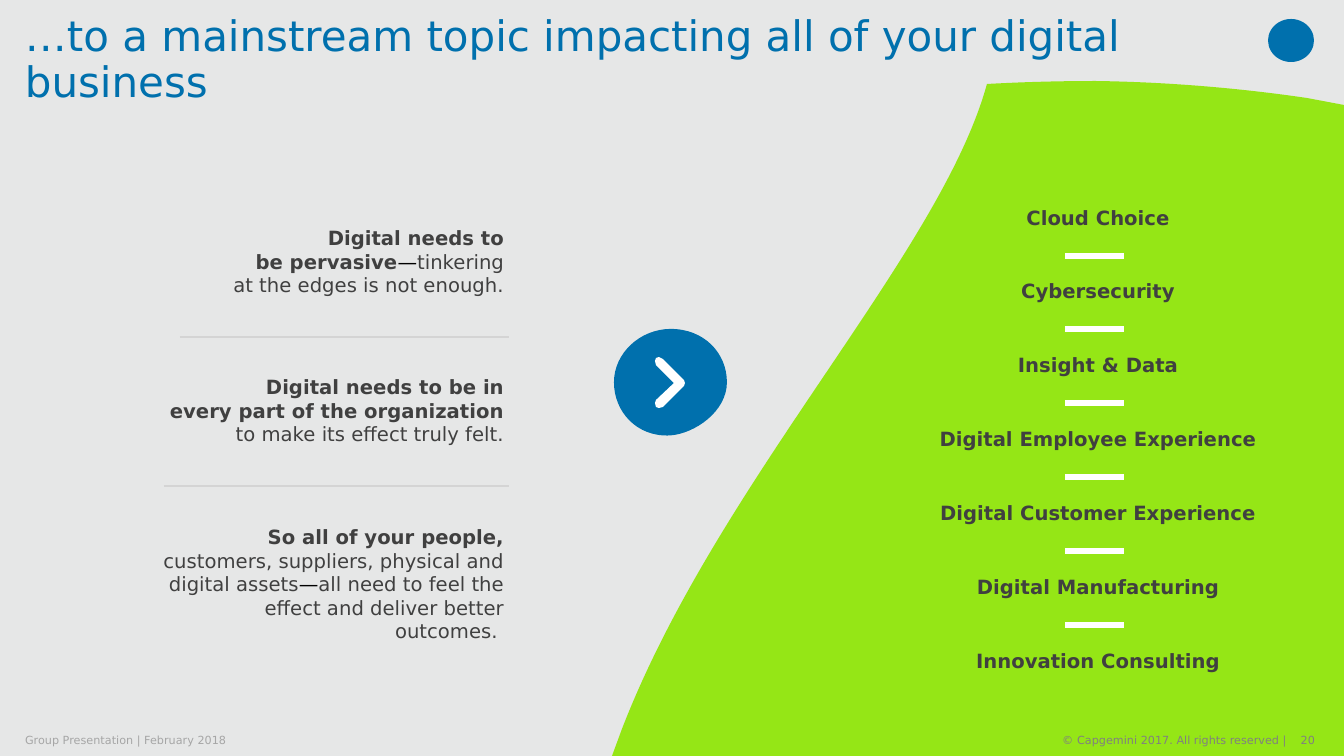
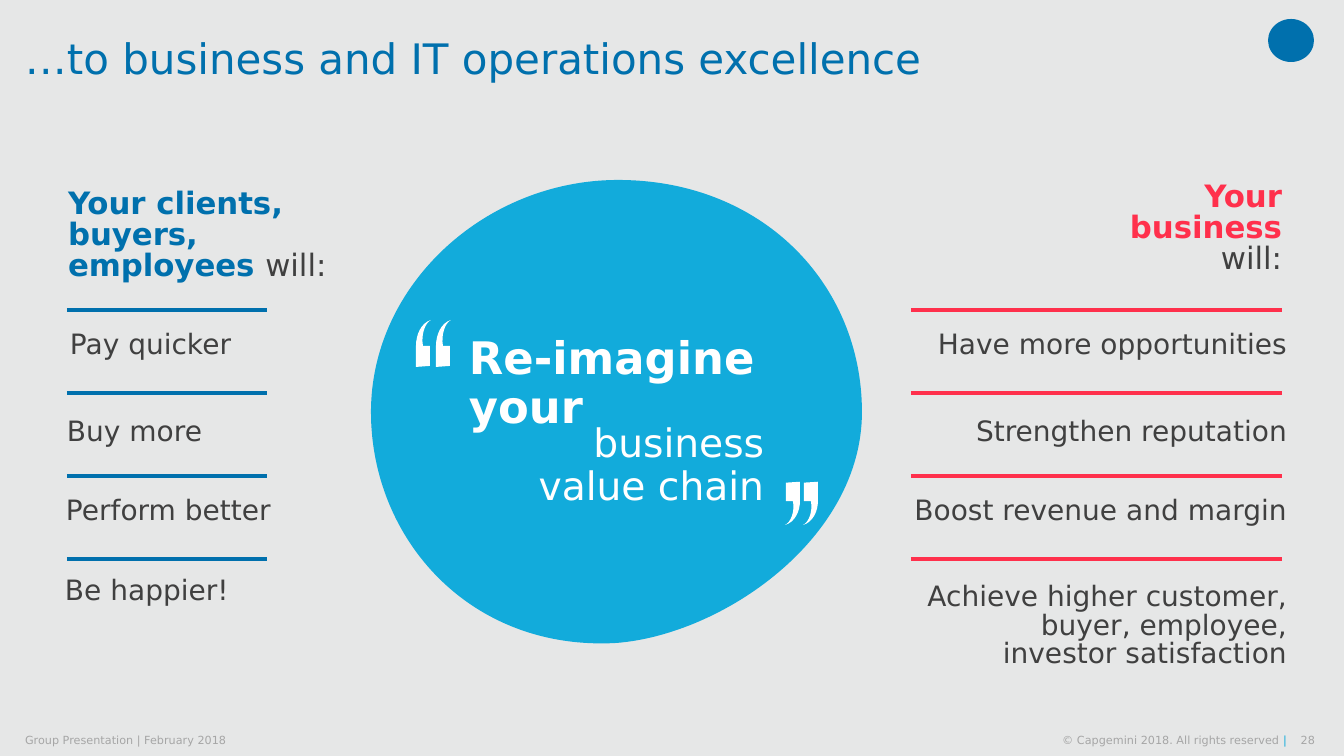
import pptx
import pptx.dml.color
import pptx.enum.shapes
import pptx.enum.text
import pptx.oxml.ns
import pptx.util
from lxml import etree

RGB = pptx.dml.color.RGBColor
ALIGN = pptx.enum.text.PP_ALIGN
ANCHOR = pptx.enum.text.MSO_ANCHOR
qn = pptx.oxml.ns.qn

PX = 914400 / 100.8
FONT = "DejaVu Sans"

BACKGROUND = RGB(0xE6, 0xE7, 0xE7)
BLUE = RGB(0x00, 0x70, 0xAD)
CYAN = RGB(0x12, 0xAB, 0xDB)
GREEN = RGB(0x95, 0xE6, 0x16)
RED = RGB(0xFF, 0x30, 0x4C)
WHITE = RGB(0xFF, 0xFF, 0xFF)
BLACK = RGB(0x00, 0x00, 0x00)
DARK = RGB(0x40, 0x40, 0x40)
RULE_GREY = RGB(0xD4, 0xD4, 0xD4)
FOOTER_GREY = RGB(0xA6, 0xA6, 0xA6)
FOOTER_DARK = RGB(0x80, 0x80, 0x80)

# Outlines: a start point, then segments of one point (line) or three (curve).
BLOB = (0, 232), [
    ((0, 104), (115, 1), (245, 0)),
    ((391, -1), (491, 104), (491, 232)),
    ((491, 359), (351, 455), (245, 463)),
    ((99, 471), (0, 359), (0, 232)),
]
QUOTE_MARK = (15, 0), [
    ((5, 3), (0, 15), (0, 26)),
    ((0, 47),), ((14, 46),), ((14, 26),), ((7, 26),),
    ((5, 15), (9, 3), (15, 0)),
]
GREEN_HILL = (1096, 81), [
    ((1167, 82), (1239, 88), (1307, 98)),
    ((1344, 105),), ((1344, 756),), ((612, 756),), ((622, 729),),
    ((718, 481), (940, 255), (987, 84)),
    ((1023, 82), (1059, 81), (1096, 81)),
]
CHEVRON = (4, 0), [(point,) for point in (
    (8, 2), (29, 23), (30, 26), (29, 29), (8, 50), (4, 51), (1, 50),
    (0, 46), (1, 43), (19, 26), (1, 8), (0, 4), (1, 1))]


def px(n):
    return pptx.util.Emu(round(n * PX))


def add_text(slide, box, runs, size, align=ALIGN.LEFT, spacing=1.0,
             insets=(10, 5, 10, 5), anchor=ANCHOR.TOP):
    """Add one paragraph; runs are (text, colour, bold), with \\n as line break."""
    tf = slide.shapes.add_textbox(*map(px, box)).text_frame
    tf.word_wrap = True
    tf.vertical_anchor = anchor
    tf.margin_left, tf.margin_top, tf.margin_right, tf.margin_bottom = map(px, insets)
    p = tf.paragraphs[0]
    p.alignment = align
    p.line_spacing = spacing
    for text, color, bold in runs:
        for i, line in enumerate(text.split("\n")):
            if i:
                p.add_line_break()
            if not line:
                continue
            r = p.add_run()
            r.text = line
            r.font.name = FONT
            r.font.size = pptx.util.Pt(size)
            r.font.bold = bold
            r.font.color.rgb = color


def add_rule(slide, x1, x2, y, color, width):
    line = slide.shapes.add_connector(
        pptx.enum.shapes.MSO_CONNECTOR.STRAIGHT, px(x1), px(y), px(x2), px(y))
    line.line.color.rgb = color
    line.line.width = pptx.util.Pt(width)
    etree.SubElement(line._element.spPr, qn("a:effectLst"))


def paint(sp, color):
    sp.shadow.inherit = False
    sp.fill.solid()
    sp.fill.fore_color.rgb = color
    sp.line.fill.background()


def add_outline(slide, outline, color, left=0, top=0, sx=1, sy=1):
    """Build the outline from straight lines, then merge triples into curves."""
    start, segments = outline
    points = [start] + [point for segment in segments for point in segment]
    points = [(px(left + x * sx), px(top + y * sy)) for x, y in points]
    builder = slide.shapes.build_freeform(*points[0], scale=1.0)
    builder.add_line_segments(points[1:], close=False)
    sp = builder.convert_to_shape()
    lines = iter(list(sp._element.iter(qn("a:lnTo"))))
    for segment in segments:
        first, *others = [next(lines) for _ in segment]
        if others:
            first.tag = qn("a:cubicBezTo")
            for line in others:
                first.append(line[0])
                line.getparent().remove(line)
    outline_end = next(sp._element.iter(qn("a:moveTo"))).getparent()
    etree.SubElement(outline_end, qn("a:close"))
    paint(sp, color)


def add_footer_text(slide, left, width, runs, align=ALIGN.RIGHT):
    add_text(slide, (left, 734, width, 13), runs, 8, align,
             insets=(0, 0, 0, 0), anchor=ANCHOR.MIDDLE)


def add_frame(slide, title, year, number, footer_color, bar_color):
    """Add the shared title, emblem and footer."""
    add_text(slide, (25, 0, 1227, 122), [(title, BLUE, False)], 30, spacing=0.9,
             insets=(0, 0, 0, 0), anchor=ANCHOR.MIDDLE)
    emblem = slide.shapes.add_shape(pptx.enum.shapes.MSO_SHAPE.OVAL,
                                    *map(px, (1268, 19, 46, 43)))
    paint(emblem, BLUE)
    add_footer_text(slide, 25, 520,
                    [("Group Presentation | February 2018", FOOTER_GREY, False)],
                    ALIGN.LEFT)
    add_footer_text(slide, 994, 293,
                    [(f"© Capgemini {year}. All rights reserved ", footer_color, False),
                     ("|", bar_color, False)])
    add_footer_text(slide, 1295, 20, [(number, footer_color, False)])


def mainstream_slide(prs):
    s = prs.slides.add_slide(prs.slide_layouts[6])
    statements = [
        (226, 72, [("Digital needs to\nbe pervasive", DARK, True),
                   ("—", BLACK, False),
                   ("tinkering\nat the edges is not enough.", DARK, False)]),
        (375, 72, [("Digital needs to be in\nevery part of the organization", DARK, True),
                   (" to make its effect truly felt.", DARK, False)]),
        (525, 95, [("So all of your people, ", DARK, True),
                   ("customers, suppliers, physical and digital assets", DARK, False),
                   ("—", BLACK, False),
                   ("all need to feel the effect and deliver better outcomes. ",
                    DARK, False)]),
    ]
    for top, height, runs in statements:
        add_text(s, (156, top, 373, height), runs, 14, ALIGN.RIGHT, insets=(0, 0, 25, 0))
    for left, y in ((180, 337), (164, 486)):
        add_rule(s, left, 509, y, RULE_GREY, 1)

    add_outline(s, GREEN_HILL, GREEN)
    services = ["Cloud Choice", "Cybersecurity", "Insight & Data",
                "Digital Employee Experience", "Digital Customer Experience",
                "Digital Manufacturing", "Innovation Consulting"]
    for i, service in enumerate(services):
        top = 204 + 443 * i // 6
        add_text(s, (925, top, 346, 31), [(service, DARK, True)], 14,
                 ALIGN.CENTER, spacing=0.9)
        if i < len(services) - 1:
            add_rule(s, 1065, 1124, top + 52, WHITE, 3.75)

    add_outline(s, BLOB, BLUE, 614, 329, 0.23, 0.23)
    add_outline(s, CHEVRON, WHITE, 655, 357)
    add_frame(s, "…to a mainstream topic impacting all of your digital business",
              2017, "20", FOOTER_DARK, FOOTER_DARK)


def add_benefits(slide, items, rule_left, rule_right, color, align):
    """Stack a rule and a text for each (left, top, width, height, text)."""
    for i, (*box, text) in enumerate(items):
        add_rule(slide, rule_left, rule_right, 310 + 83 * i, color, 2.25)
        add_text(slide, box, [(text, DARK, False)], 20, align, spacing=0.85)


def excellence_slide(prs):
    s = prs.slides.add_slide(prs.slide_layouts[6])
    add_frame(s, "…to business and IT operations excellence",
              2018, "28", FOOTER_GREY, CYAN)
    add_text(s, (58, 184, 313, 106), [("Your clients, buyers, employees ", BLUE, True),
                                      ("will:", DARK, False)], 22, spacing=0.85)
    add_text(s, (1042, 177, 250, 106), [("Your business\n", RED, True),
                                        ("will:", DARK, False)],
             22, ALIGN.RIGHT, spacing=0.85)
    add_benefits(s, [
        (60, 327, 230, 39, "Pay quicker"),
        (57, 414, 230, 39, "Buy more"),
        (56, 493, 230, 39, "Perform better"),
        (55, 573, 230, 39, "Be happier!"),
    ], 67, 267, BLUE, ALIGN.LEFT)
    add_outline(s, BLOB, CYAN, 371, 180)
    add_benefits(s, [
        (865, 327, 432, 39, "Have more opportunities"),
        (865, 414, 432, 39, "Strengthen reputation"),
        (865, 493, 432, 39, "Boost revenue and margin"),
        (911, 579, 386, 97,
         "Achieve higher customer, buyer, employee, investor satisfaction"),
    ], 911, 1282, RED, ALIGN.RIGHT)

    add_text(s, (459, 331, 339, 74), [("Re-imagine your", WHITE, True)], 32, spacing=0.9)
    add_text(s, (476, 419, 298, 74), [("business value chain", WHITE, False)],
             28, ALIGN.RIGHT, spacing=0.9)
    for left in (416, 436):
        add_outline(s, QUOTE_MARK, WHITE, left, 320)
    for right in (800, 818):
        add_outline(s, QUOTE_MARK, WHITE, right, 525, -1, -0.92)


def main():
    prs = pptx.Presentation()
    prs.slide_width, prs.slide_height = px(1344), px(756)
    fill = prs.slide_master.background.fill
    fill.solid()
    fill.fore_color.rgb = BACKGROUND
    mainstream_slide(prs)
    excellence_slide(prs)
    prs.save("out.pptx")


if __name__ == "__main__":
    main()
